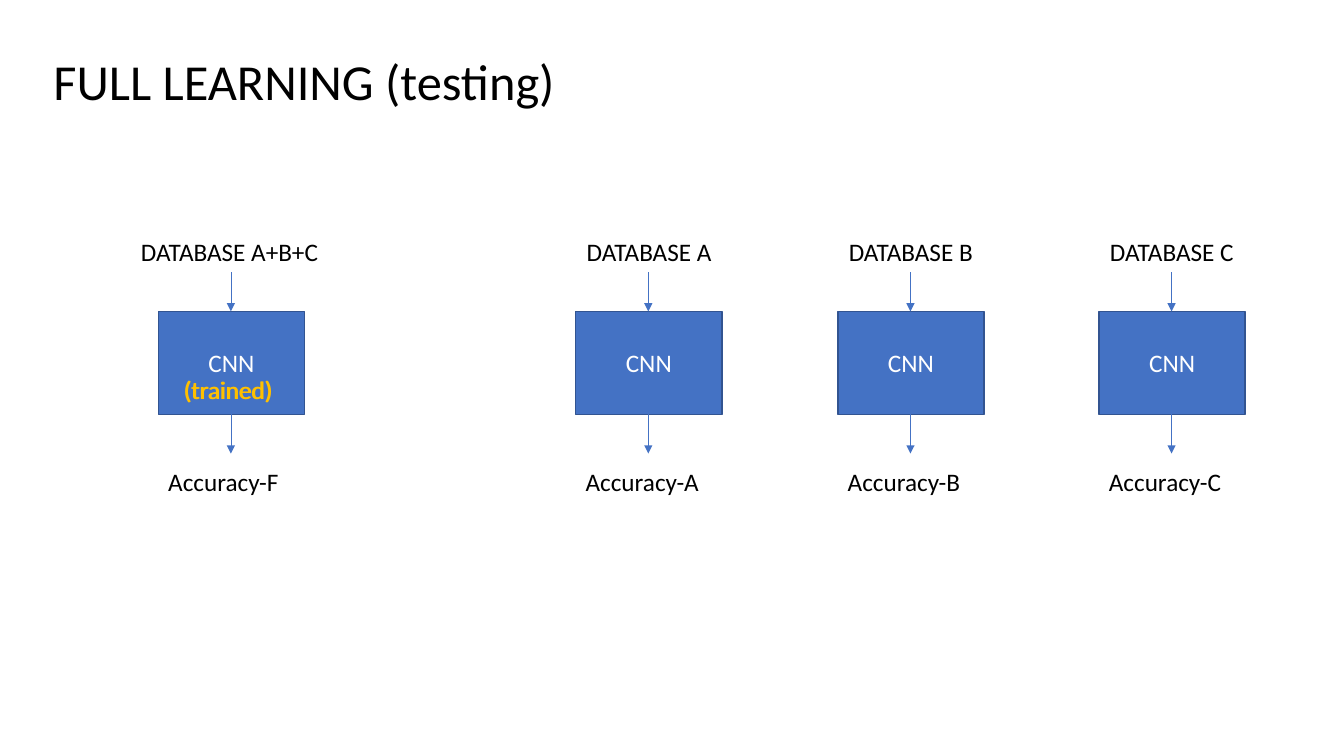
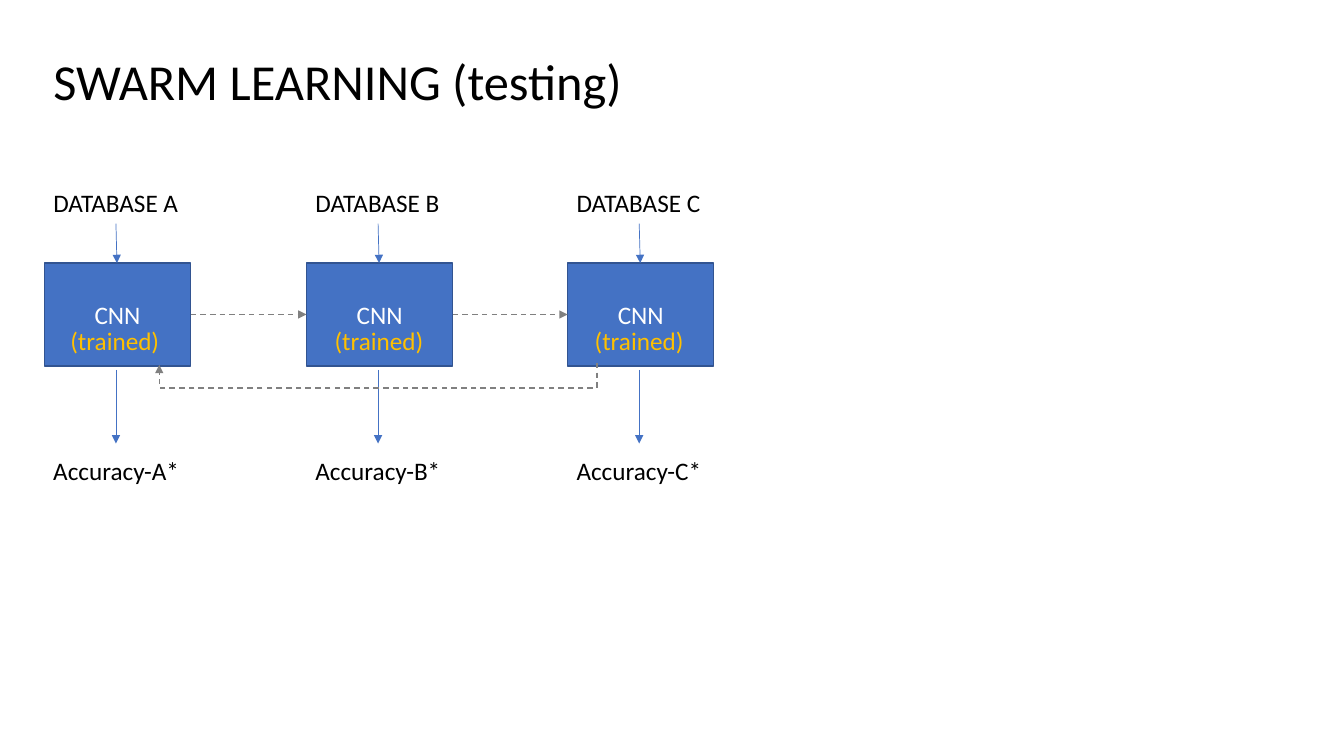
from dataclasses import dataclass
from typing import Optional

from lxml.etree import SubElement
from pptx import Presentation
from pptx.dml.color import RGBColor
from pptx.enum.dml import MSO_LINE
from pptx.enum.shapes import MSO_CONNECTOR, MSO_SHAPE
from pptx.enum.text import MSO_ANCHOR, MSO_AUTO_SIZE, PP_ALIGN
from pptx.oxml.ns import qn
from pptx.shapes.connector import Connector
from pptx.slide import Slide
from pptx.text.text import TextFrame
from pptx.util import Emu, Pt

BLACK = RGBColor(0x00, 0x00, 0x00)
WHITE = RGBColor(0xFF, 0xFF, 0xFF)
BLUE = RGBColor(0x44, 0x72, 0xC4)
NAVY = RGBColor(0x32, 0x54, 0x91)
GOLD = RGBColor(0xFF, 0xC0, 0x00)
GREY = RGBColor(0x80, 0x80, 0x80)
FONT = "Calibri"
TITLE_ONLY = 5

PAGE_WIDTH, PAGE_HEIGHT = 1333, 750
BOX_WIDTH, BOX_HEIGHT = 145, 102
TEXT_HEIGHT = 40
ARROW_LENGTH = 39


@dataclass(frozen=True)
class Network:
    left: int
    database: str
    accuracy: str
    database_left: int
    accuracy_left: int
    database_width: int = 145
    trained_lefts: tuple[int, ...] = ()


@dataclass(frozen=True)
class Diagram:
    title: str
    title_width: int
    box_top: int
    accuracy_top: int
    accuracy_width: int
    arrow_gap: int
    output_length: int
    arrow_shift: int
    networks: tuple[Network, ...]
    loop: Optional[tuple[int, int]] = None


FULL = Diagram(
    "FULL LEARNING (testing)", 523, 309, 458, 133, 0, ARROW_LENGTH, 0,
    (
        Network(157, "DATABASE A+B+C", "Accuracy-F", 130, 157, 197, (173, 172)),
        *(
            Network(left, f"DATABASE {name}", f"Accuracy-{name}", left + 1, left)
            for left, name in ((571, "A"), (831, "B"), (1090, "C"))
        ),
    ),
)
SWARM = Diagram(
    "SWARM LEARNING (testing)", 590, 261, 447, 146, 4, 73, -1,
    tuple(
        Network(left, f"DATABASE {name}", f"Accuracy-{name}*", left - 1, left - 1,
                trained_lefts=(trained,))
        for left, name, trained in ((44, "A", 60), (304, "B", 322), (563, "C", 580))
    ),
    loop=(592, 158),
)


def px(length: int) -> Emu:
    return Emu(length * 9144)


def write(frame: TextFrame, text: str, *, size: int = 18, color: RGBColor = BLACK,
          align: PP_ALIGN = PP_ALIGN.LEFT, anchor: MSO_ANCHOR = MSO_ANCHOR.TOP,
          wrap: bool = False) -> None:
    frame.word_wrap = wrap
    frame.auto_size = MSO_AUTO_SIZE.NONE
    frame.vertical_anchor = anchor
    para = frame.paragraphs[0]
    para.alignment = align
    span = para.add_run()
    span.text = text
    span.font.name = FONT
    span.font.size = Pt(size)
    span.font.color.rgb = color


def add_label(page: Slide, text: str, left: int, top: int, width: int,
              color: RGBColor = BLACK, wrap: bool = False) -> None:
    box = page.shapes.add_textbox(px(left), px(top), px(width), px(TEXT_HEIGHT))
    write(box.text_frame, text, color=color, wrap=wrap)


def add_title(page: Slide, text: str, width: int) -> None:
    title = page.shapes.title
    title.left, title.top, title.width, title.height = px(43), px(45), px(width), px(71)
    write(title.text_frame, text, size=36)


def add_box(page: Slide, left: int, top: int) -> None:
    box = page.shapes.add_shape(
        MSO_SHAPE.RECTANGLE, px(left), px(top), px(BOX_WIDTH), px(BOX_HEIGHT))
    box.shadow.inherit = False
    box.fill.solid()
    box.fill.fore_color.rgb = BLUE
    box.line.color.rgb = NAVY
    box.line.width = Pt(1)
    write(box.text_frame, "CNN", color=WHITE, align=PP_ALIGN.CENTER,
          anchor=MSO_ANCHOR.MIDDLE, wrap=True)


def add_arrow(page: Slide, start: tuple[int, int], end: tuple[int, int], *,
              dashed: bool = False,
              kind: MSO_CONNECTOR = MSO_CONNECTOR.STRAIGHT) -> Connector:
    arrow = page.shapes.add_connector(kind, *map(px, start + end))
    arrow.line.color.rgb = GREY if dashed else BLUE
    arrow.line.width = Pt(1 if dashed else 0.5)
    if dashed:
        arrow.line.dash_style = MSO_LINE.DASH
    properties = arrow.element.spPr
    SubElement(properties.find(qn("a:ln")), qn("a:tailEnd"), type="triangle")
    SubElement(properties, qn("a:effectLst"))
    return arrow


def add_loop(page: Slide, start_x: int, end_x: int, top: int) -> None:
    depth, drop = 2, 25
    span = start_x - end_x
    left = (start_x + end_x) // 2 - depth // 2
    upper = top + depth // 2 - span // 2
    loop = add_arrow(page, (left, upper), (left + depth, upper + span),
                     dashed=True, kind=MSO_CONNECTOR.ELBOW)
    loop.rotation = 90
    properties = loop.element.spPr
    properties.find(qn("a:xfrm")).set("rot", "5400000")
    geometry = properties.find(qn("a:prstGeom"))
    guides = geometry.find(qn("a:avLst"))
    if guides is None:
        guides = SubElement(geometry, qn("a:avLst"))
    SubElement(guides, qn("a:gd"), name="adj1", fmla=f"val {drop * 100000 // depth}")


def add_network(page: Slide, diagram: Diagram, network: Network) -> None:
    top = diagram.box_top
    bottom = top + BOX_HEIGHT
    center = network.left + BOX_WIDTH // 2
    tail_x = center + diagram.arrow_shift
    output_top = bottom + diagram.arrow_gap
    add_label(page, network.database, network.database_left, top - 79 - abs(diagram.arrow_shift),
              network.database_width)
    add_box(page, network.left, top)
    add_arrow(page, (tail_x, top - ARROW_LENGTH), (center, top))
    add_arrow(page, (tail_x, output_top), (tail_x, output_top + diagram.output_length))
    for left in network.trained_lefts:
        add_label(page, "(trained)", left, top + 57, 114, GOLD, wrap=True)
    add_label(page, network.accuracy, network.accuracy_left, diagram.accuracy_top,
              diagram.accuracy_width)


def add_diagram(page: Slide, diagram: Diagram) -> None:
    add_title(page, diagram.title, diagram.title_width)
    for network in diagram.networks:
        add_network(page, diagram, network)
    if diagram.loop:
        middle = diagram.box_top + BOX_HEIGHT // 2
        for source, target in zip(diagram.networks, diagram.networks[1:]):
            add_arrow(page, (source.left + BOX_WIDTH, middle), (target.left, middle),
                      dashed=True)
        add_loop(page, *diagram.loop, diagram.box_top + BOX_HEIGHT - 3)


def main() -> None:
    deck = Presentation()
    deck.slide_width, deck.slide_height = px(PAGE_WIDTH), px(PAGE_HEIGHT)
    for diagram in (FULL, SWARM):
        add_diagram(deck.slides.add_slide(deck.slide_layouts[TITLE_ONLY]), diagram)
    deck.save("out.pptx")


if __name__ == "__main__":
    main()
